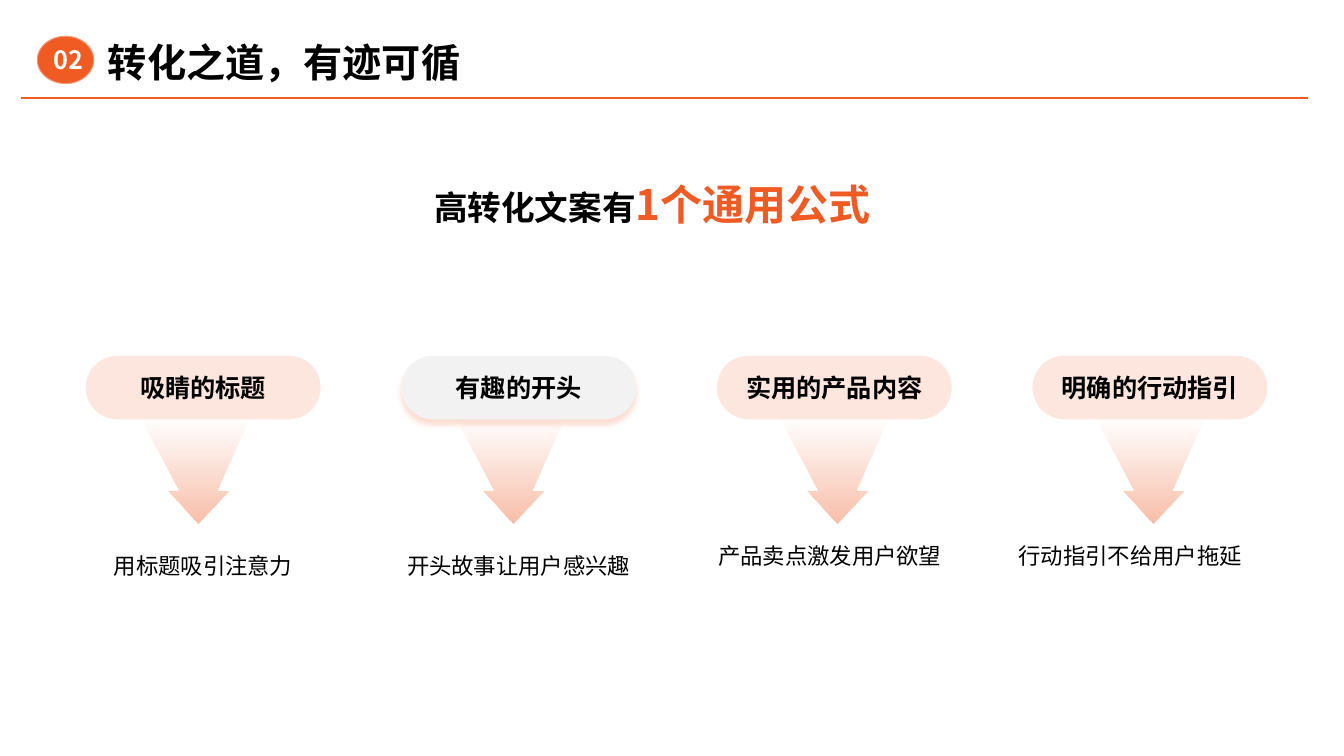
import pptx
import pptx.dml.color
import pptx.enum.shapes
import pptx.enum.text
import pptx.oxml
import pptx.oxml.ns
import pptx.util
from pptx.util import Inches

FONT = "Noto Sans CJK SC"
COLORS = {"orange": "F05A23", "rim": "F69C7B", "gray": "F2F2F2",
          "black": "000000", "white": "FFFFFF"}
ALIGN = pptx.enum.text.PP_ALIGN
ANCHOR = pptx.enum.text.MSO_ANCHOR
SHAPE = pptx.enum.shapes.MSO_SHAPE
PILL_LEFT, PILL_STEP = 0.85, 3.13
STEPS = [
    ("吸睛的标题", 1.4, "用标题吸引注意力", (0.85, 5.38, 2.33, 1.16)),
    ("有趣的开头", 4.53, "开头故事让用户感兴趣", (3.9, 5.38, 2.49, 1.16)),
    ("实用的产品内容", 7.74, "产品卖点激发用户欲望", (6.94, 5.28, 2.58, 1.16)),
    ("明确的行动指引", 10.88, "行动指引不给用户拖延", (9.92, 5.28, 2.58, 1.16)),
]
ARROW = [(1.06, 0), (0, 0), (0.37, 0.7), (0.26, 0.7), (0.56, 1.03),
         (0.87, 0.7), (0.75, 0.7)]


def rgb(name):
    return pptx.dml.color.RGBColor.from_string(COLORS[name])


def add_xml(parent, tag, **attrs):
    node = pptx.oxml.parse_xml(f"<a:{tag} {pptx.oxml.ns.nsdecls('a')}/>")
    for key, value in attrs.items():
        node.set(key, str(value))
    parent.append(node)
    return node


def fade(parent, percent):
    for color in parent.iter(pptx.oxml.ns.qn("a:srgbClr")):
        add_xml(color, "alpha", val=percent * 1000)


def style(para, size=None, color="black", bold=True, align=ALIGN.CENTER):
    para.alignment = align
    font = para.font
    font.name, font.bold = FONT, bold
    font.color.rgb = rgb(color)
    if size:
        font.size = pptx.util.Pt(size)
    add_xml(para._p.pPr.find(pptx.oxml.ns.qn("a:defRPr")), "ea", typeface=FONT)


def add_text(slide, box, text="", anchor=ANCHOR.TOP, **look):
    frame = slide.shapes.add_textbox(*map(Inches, box)).text_frame
    frame.word_wrap = True
    frame.vertical_anchor = anchor
    para = frame.paragraphs[0]
    para.text = text
    style(para, **look)
    return para


def add_shape(slide, kind, box, color):
    shape = slide.shapes.add_shape(kind, *map(Inches, box))
    shape.shadow.inherit = False
    shape.fill.solid()
    shape.fill.fore_color.rgb = rgb(color)
    shape.line.fill.background()
    return shape


def add_pill(slide, left, text, raised):
    pill = add_shape(slide, SHAPE.ROUNDED_RECTANGLE, (left, 3.53, 2.33, 0.63),
                     "gray" if raised else "orange")
    pill.adjustments[0] = 0.5
    props = pill._element.spPr
    if raised:
        blur = pptx.util.Pt(4)
        effects = props.find(pptx.oxml.ns.qn("a:effectLst"))
        shadow = add_xml(effects, "outerShdw", blurRad=blur, dist=blur,
                         dir=5400000, algn="t", rotWithShape=0)
        add_xml(shadow, "srgbClr", val=COLORS["orange"])
        fade(shadow, 20)
    else:
        fade(props, 15)
    frame = pill.text_frame
    frame.vertical_anchor = ANCHOR.MIDDLE
    frame.paragraphs[0].text = text
    style(frame.paragraphs[0], 18)


def add_arrow(slide, left, top=4.16):
    points = [(Inches(left + x), Inches(top + y)) for x, y in ARROW]
    path = slide.shapes.build_freeform(*points[0])
    path.add_line_segments(points[1:], close=True)
    arrow = path.convert_to_shape()
    arrow.shadow.inherit = False
    arrow.line.fill.background()
    arrow.fill.gradient()
    arrow.fill.gradient_angle = 270
    for stop, percent in zip(arrow.fill.gradient_stops, (0, 40)):
        stop.color.rgb = rgb("orange")
        fade(stop._gs, percent)


def add_header(slide):
    rule = slide.shapes.add_connector(
        pptx.enum.shapes.MSO_CONNECTOR.STRAIGHT,
        Inches(0.21), Inches(0.97), Inches(12.97), Inches(0.97))
    rule.line.color.rgb = rgb("orange")
    rule.line.width = pptx.util.Pt(1.5)
    add_xml(rule._element.spPr, "effectLst")
    badge = add_shape(slide, SHAPE.FLOWCHART_CONNECTOR,
                      (0.37, 0.36, 0.56, 0.47), "orange")
    badge.line.color.rgb = rgb("rim")
    badge.line.width = pptx.util.Pt(0.75)
    add_text(slide, (0.31, 0.39, 0.74, 0.4), "02", size=18, color="white")
    title = slide.shapes.title
    title.left, title.top, title.width, title.height = map(
        Inches, (1.07, 0.36, 5.64, 0.5))
    frame = title.text_frame
    frame.text = "转化之道，有迹可循"
    frame.auto_size = pptx.enum.text.MSO_AUTO_SIZE.NONE
    frame.vertical_anchor = ANCHOR.MIDDLE
    frame.margin_left = frame.margin_right = 0
    frame.margin_top = frame.margin_bottom = 0
    style(frame.paragraphs[0], 28, align=ALIGN.LEFT)


def add_claim(slide):
    para = add_text(slide, (1.54, 1.64, 9.86, 0.68), anchor=ANCHOR.BOTTOM)
    for text, size, color in (("高转化文案有", 24, "black"),
                              ("1个通用公式", 30, "orange")):
        run = para.add_run()
        run.text = text
        run.font.size = pptx.util.Pt(size)
        run.font.color.rgb = rgb(color)


def main():
    """Build the slide on the copywriting formula and save it."""
    deck = pptx.Presentation()
    deck.slide_width, deck.slide_height = Inches(13.33), Inches(7.5)
    slide = deck.slides.add_slide(deck.slide_layouts.get_by_name("Title Only"))
    add_header(slide)
    add_claim(slide)
    for i, (name, left, note, box) in enumerate(STEPS):
        add_arrow(slide, left)
        add_pill(slide, PILL_LEFT + i * PILL_STEP, name, raised=i == 1)
        para = add_text(slide, box, note, size=16, bold=False)
        para.line_spacing = 1.2
    deck.save("out.pptx")


if __name__ == "__main__":
    main()
